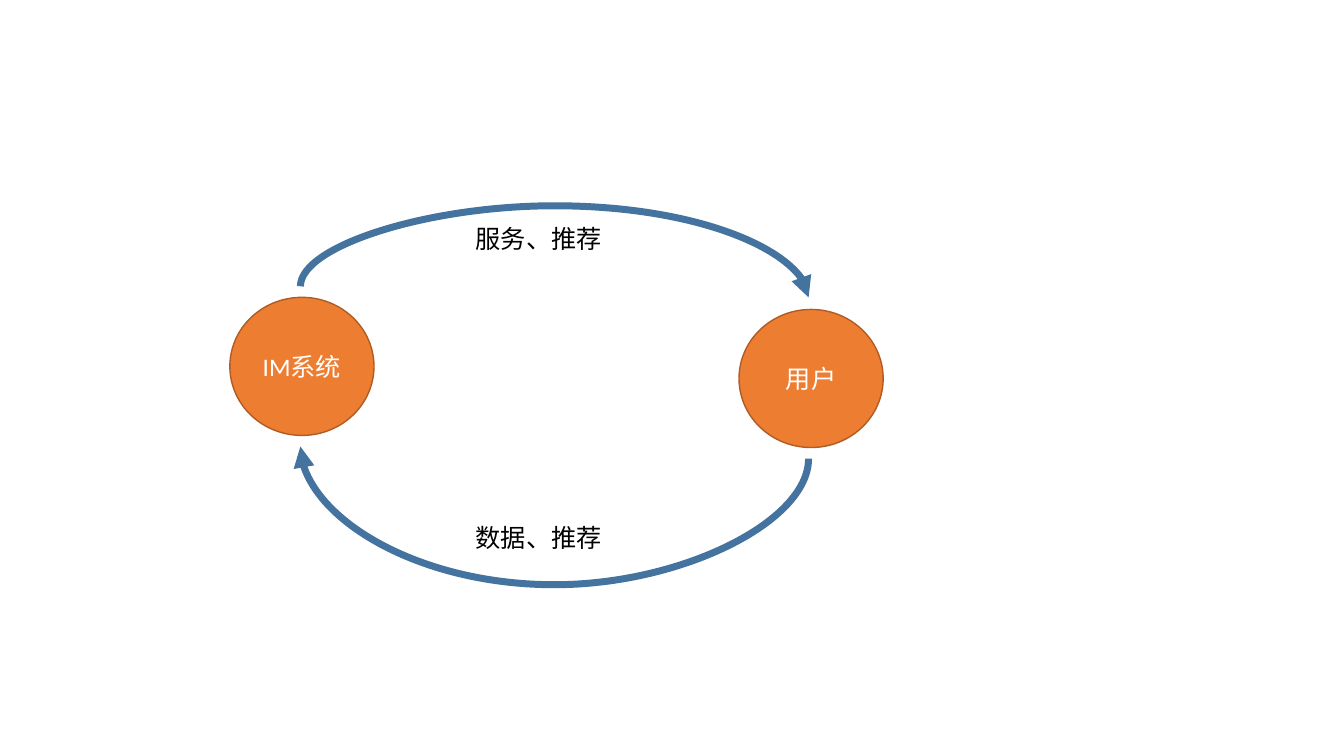
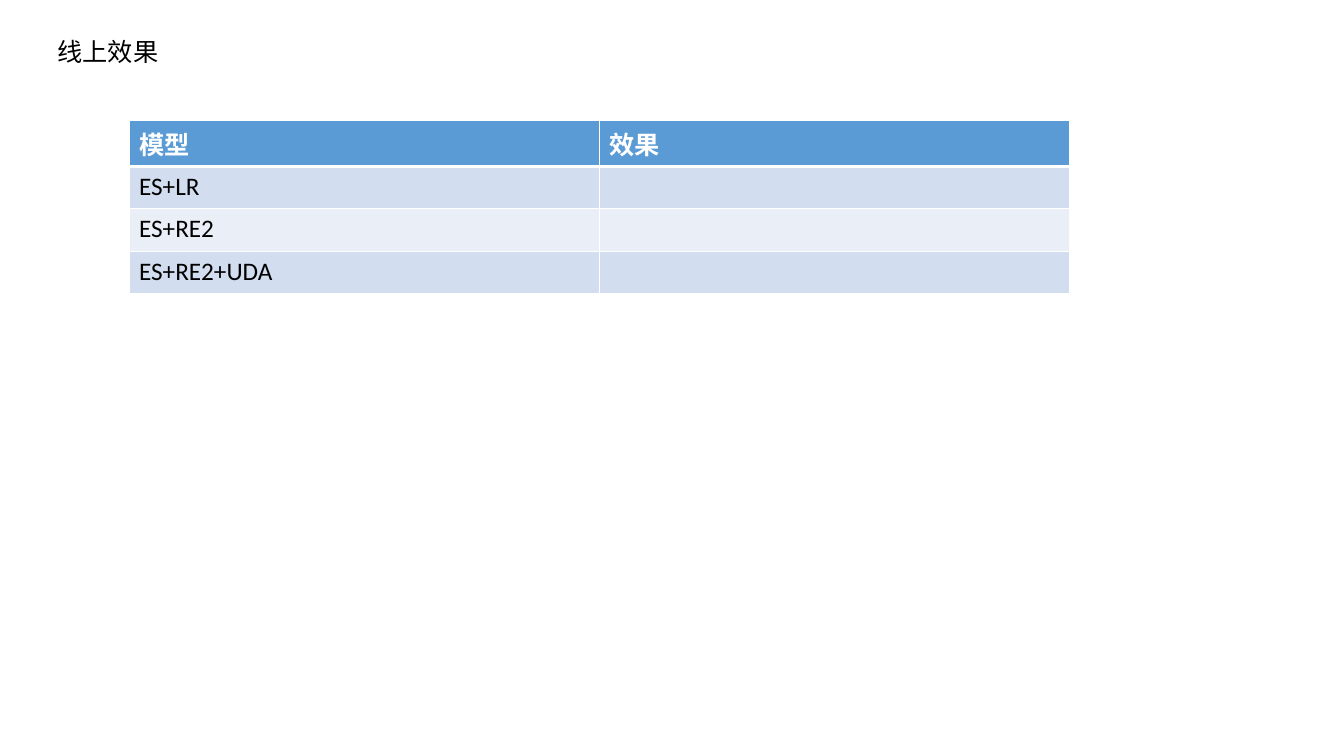
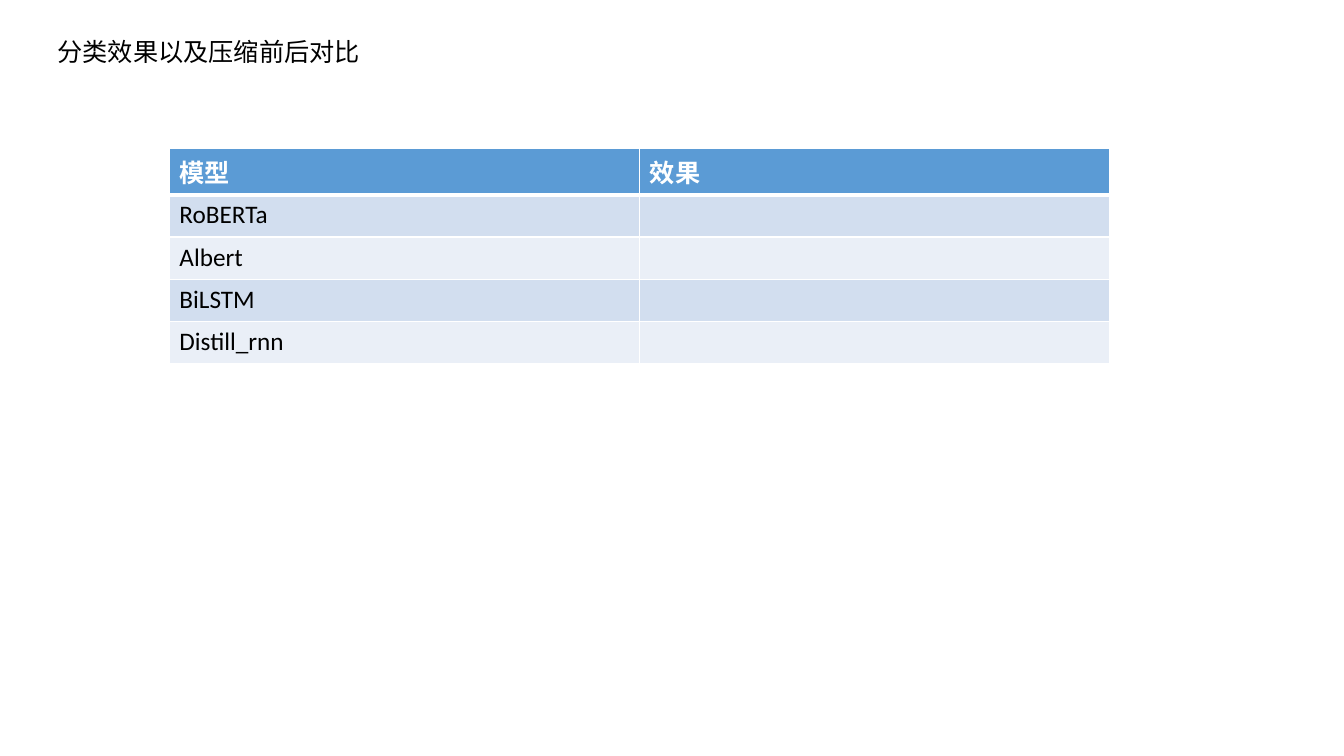
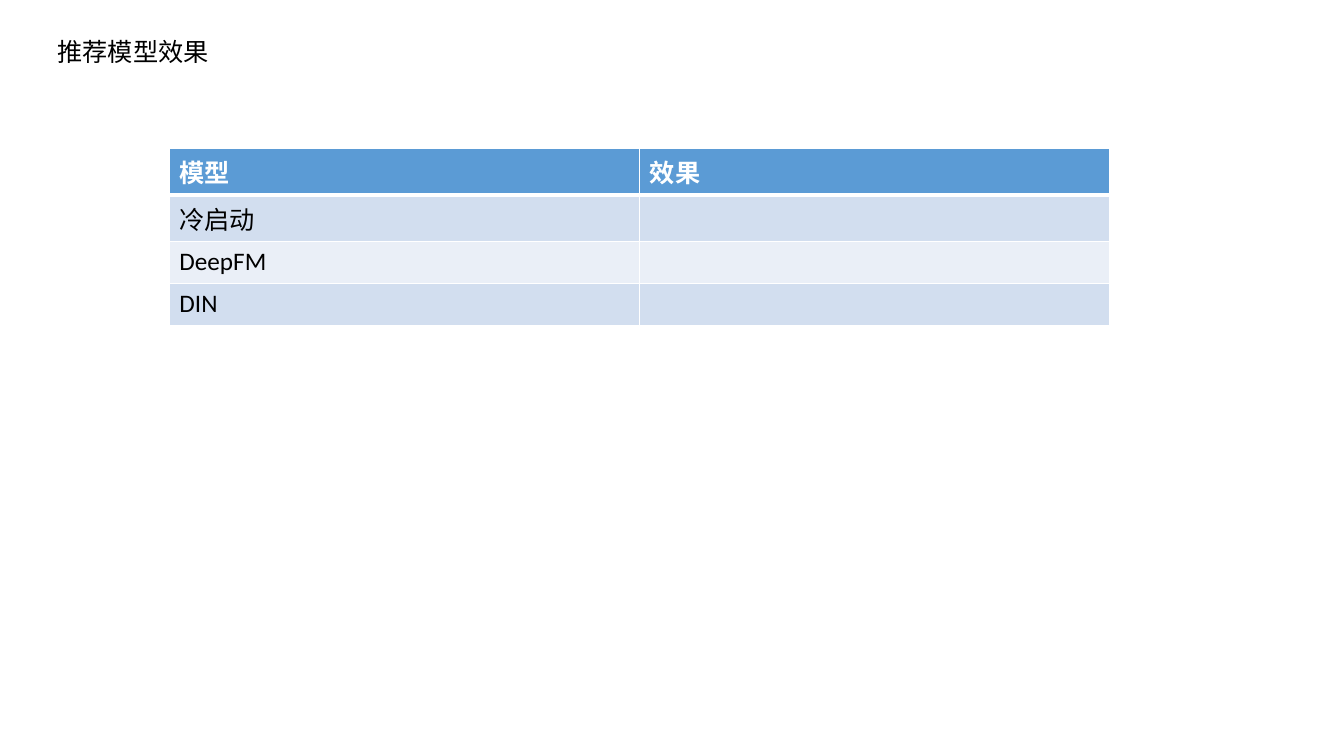
from pptx import Presentation
from pptx.dml.color import RGBColor
from pptx.enum.shapes import MSO_CONNECTOR as Link, MSO_SHAPE as Shape
from pptx.enum.text import MSO_ANCHOR as Anchor, MSO_AUTO_SIZE as Fit, PP_ALIGN as Align
from pptx.oxml import parse_xml
from pptx.oxml.ns import nsdecls
from pptx.util import Inches, Pt

FONT, SIZE = "Calibri", 18
BLACK, WHITE = "000000", "FFFFFF"
ORANGE, RUST, STEEL = "ED7D31", "AF5C24", "43739E"
HEAD, BANDS = "5B9BD5", ("D2DEEF", "EAEFF7")
COLS = ("模型", "效果")


def rgb(code):
    return RGBColor.from_string(code)


def node(tag, attrs="", inner=""):
    return parse_xml(f"<a:{tag} {nsdecls('a')} {attrs}>{inner}</a:{tag}>")


def write(frame, text, color=BLACK, bold=False, align=Align.LEFT, anchor=Anchor.TOP):
    frame.word_wrap = True
    frame.auto_size = Fit.NONE
    frame.vertical_anchor = anchor
    para = frame.paragraphs[0]
    para.alignment = align
    run = para.add_run()
    run.text = text
    font = run.font
    font.name, font.size, font.bold = FONT, Pt(SIZE), bold
    font.color.rgb = rgb(color)


# Parts of the loop diagram
def disc(slide, left, top, text):
    shape = slide.shapes.add_shape(
        Shape.OVAL, Inches(left), Inches(top), Inches(1.43), Inches(1.37))
    shape.shadow.inherit = False
    shape.fill.solid()
    shape.fill.fore_color.rgb = rgb(ORANGE)
    shape.line.color.rgb = rgb(RUST)
    shape.line.width = Pt(1)
    write(shape.text_frame, text, WHITE, align=Align.CENTER, anchor=Anchor.MIDDLE)


def label(slide, left, top, text):
    box = slide.shapes.add_textbox(
        Inches(left), Inches(top), Inches(2.3), Inches(0.4))
    write(box.text_frame, text)


def arc(slide, start, end, bulge):
    """Curved arrow that bulges beyond its start; it is a turned S connector."""
    (x1, y1), (x2, y2) = start, end
    wide, high = abs(y2 - y1), abs(x2 - x1)
    left, top = (x1 + x2 - wide) / 2, (y1 + y2 - high) / 2
    line = slide.shapes.add_connector(
        Link.CURVE, Inches(left), Inches(top), Inches(left + wide), Inches(top + high))
    line.line.color.rgb = rgb(STEEL)
    line.line.width = Pt(5)
    props = line._element.spPr
    turn = 270 if x2 > x1 else 90
    props.xfrm.set("rot", str(turn * 60000))
    props.xfrm.set("flipH", "1")
    geom = props.prstGeom
    for old in list(geom):
        geom.remove(old)
    adj = round(-bulge / wide * 100000)
    geom.append(node("avLst", inner=f'<a:gd name="adj1" fmla="val {adj}"/>'))
    line.line._get_or_add_ln().append(node("tailEnd", 'type="triangle"'))
    props.append(node("effectLst"))


def loop(slide, left, top):
    disc(slide, left, top + 0.91, "IM系统")
    disc(slide, left + 5.05, top + 1.03, "用户")
    near, far = left + 0.7, left + 5.74
    arc(slide, (near, top + 0.8), (far, top + 0.91), 0.8)
    arc(slide, (far, top + 2.51), (near, top + 2.39), 1.25)
    label(slide, left + 2.34, top + 0.13, "服务、推荐")
    label(slide, left + 2.34, top + 3.09, "数据、推荐")


# Parts of the table slides
def title(slide, text):
    box = slide.shapes.title
    box.left, box.top = Inches(0.47), Inches(0.31)
    box.width, box.height = Inches(3.94), Inches(0.4)
    write(box.text_frame, text)


def border(cell, row):
    props = cell._tc.get_or_add_tcPr()
    for side in "LRTB":
        thick = (row, side) in ((0, "B"), (1, "T"))
        props.append(node(
            f"ln{side}", f'w="{Pt(3 if thick else 1)}"',
            f'<a:solidFill><a:srgbClr val="{WHITE}"/></a:solidFill>'))


def grid(slide, left, top, names):
    rows = [COLS] + [(name, "") for name in names]
    table = slide.shapes.add_table(
        len(rows), len(COLS), Inches(left), Inches(top),
        Inches(9.33), Inches(0.42 * len(rows))).table
    for r, row in enumerate(rows):
        for c, text in enumerate(row):
            cell = table.cell(r, c)
            border(cell, r)
            cell.fill.solid()
            cell.fill.fore_color.rgb = rgb(BANDS[(r - 1) % 2] if r else HEAD)
            if text:
                write(cell.text_frame, text, BLACK if r else WHITE, bold=r == 0)


def report(deck, text, left, top, names):
    slide = deck.slides.add_slide(deck.slide_layouts[5])
    title(slide, text)
    grid(slide, left, top, names)


def main():
    deck = Presentation()
    deck.slide_width, deck.slide_height = Inches(13.33), Inches(7.5)
    loop(deck.slides.add_slide(deck.slide_layouts[6]), 2.28, 2.04)
    report(deck, "线上效果", 1.28, 1.19, ("ES+LR", "ES+RE2", "ES+RE2+UDA"))
    report(deck, "分类效果以及压缩前后对比", 1.68, 1.47,
           ("RoBERTa", "Albert", "BiLSTM", "Distill_rnn"))
    report(deck, "推荐模型效果", 1.68, 1.47, ("冷启动", "DeepFM", "DIN"))
    deck.save("out.pptx")


if __name__ == "__main__":
    main()
